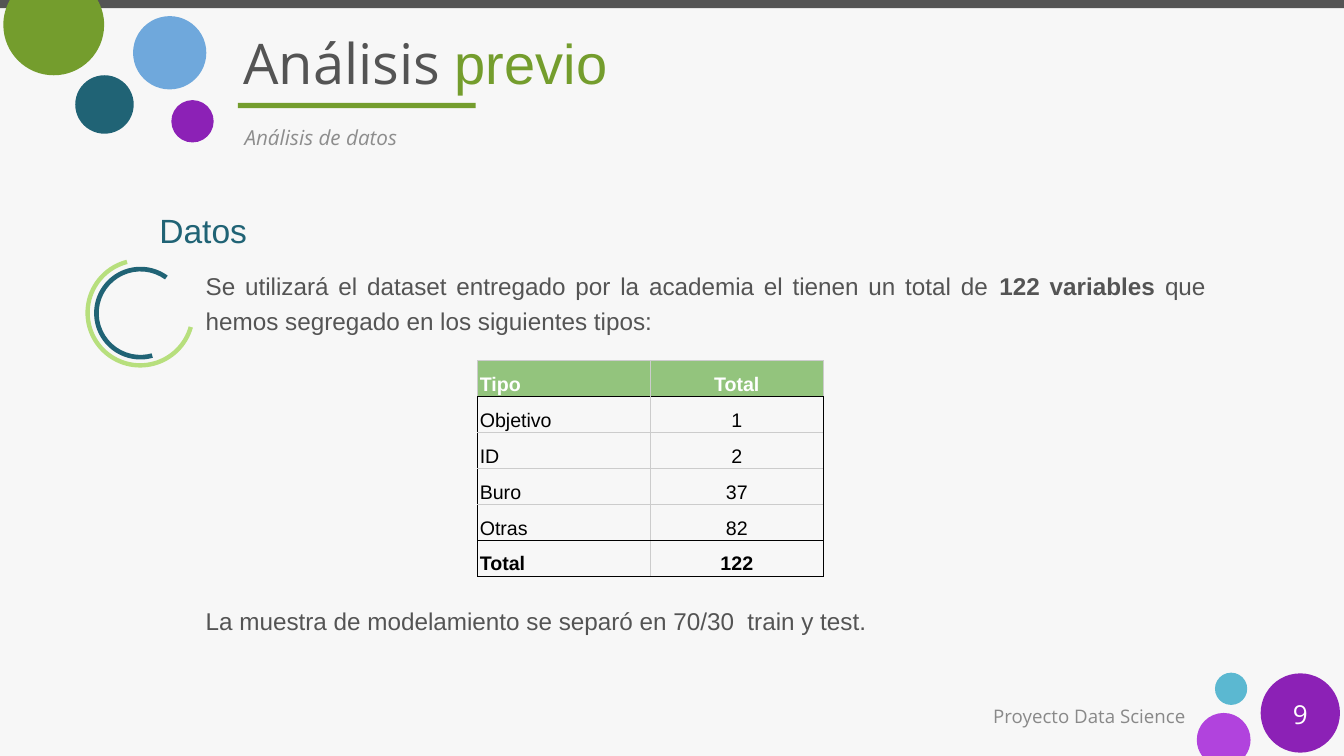
from math import asin, cos, sin, sqrt, tan

from lxml.etree import SubElement
from pptx import Presentation
from pptx.dml.color import RGBColor
from pptx.enum.shapes import MSO_SHAPE as Shape
from pptx.enum.text import MSO_ANCHOR as Anchor, MSO_AUTO_SIZE as AutoSize, PP_ALIGN as Align
from pptx.oxml.ns import qn
from pptx.util import Inches, Pt

WIDTH, HEIGHT = 20, 11.25
COLORS = {
    "paper": "F7F7F7", "ink": "545454", "muted": "8D8D8D", "footer": "898989",
    "white": "FFFFFF", "black": "000000", "rule": "CCCCCC", "header": "93C47D",
    "green": "749D2D", "lime": "B7DF7D", "teal": "206375", "blue": "6FA8DC",
    "cyan": "5BB8D1", "purple": "8C21B6", "violet": "B143DD",
}
DISPLAY, BODY = "Open Sans", "Arial"
ROWS = [("Tipo", "Total"), ("Objetivo", "1"), ("ID", "2"), ("Buro", "37"),
        ("Otras", "82"), ("Total", "122")]


def color(name):
    return RGBColor.from_string(COLORS[name])


def set_font(font, face, size, name, bold=False, italic=False):
    font.name, font.size, font.bold, font.italic = face, Pt(size), bold, italic
    font.color.rgb = color(name)


def cut_circle_points(x, y, radius, edge):
    """Chord ends, then Bezier points of the arc between them, for a circle cut at y = edge."""
    depth = abs(edge - y)
    side = 1 if edge > y else -1
    angle = asin(depth / radius)
    chord = sqrt(radius ** 2 - depth ** 2)
    short = 4 / 3 * tan(angle / 4) * radius
    quarter = 0.5523 * radius
    half = [(chord, depth),
            (chord + short * sin(angle), depth - short * cos(angle)),
            (radius, short), (radius, 0),
            (radius, -quarter), (quarter, -radius), (0, -radius)]
    mirrored = [(-dx, dy) for dx, dy in reversed(half[:-1])]
    loop = [mirrored[-1]] + half + mirrored
    return [(x + dx, y + side * dy) for dx, dy in loop]


class SlideBuilder:
    def __init__(self, page):
        self.page = page
        page.background.fill.solid()
        page.background.fill.fore_color.rgb = color("paper")

    def paint(self, shape, fill):
        shape.shadow.inherit = False
        shape.fill.solid()
        shape.fill.fore_color.rgb = color(fill)
        shape.line.fill.background()

    def shape(self, kind, left, top, width, height, fill):
        shape = self.page.shapes.add_shape(kind, *map(Inches, (left, top, width, height)))
        self.paint(shape, fill)
        return shape

    def circle(self, left, top, size, fill):
        return self.shape(Shape.OVAL, left, top, size, size, fill)

    def cut_circle(self, x, y, radius, edge, fill):
        points = [(Inches(px), Inches(py)) for px, py in cut_circle_points(x, y, radius, edge)]
        outline = self.page.shapes.build_freeform(*points[0])
        outline.add_line_segments(points[1:])
        shape = outline.convert_to_shape()
        # All lines after the chord are joined three by three into curves.
        lines = list(shape._element.iter(qn("a:lnTo")))[1:13]
        for start in range(0, len(lines), 3):
            curve = lines[start]
            curve.tag = qn("a:cubicBezTo")
            for line in lines[start + 1:start + 3]:
                curve.append(line[0])
                line.getparent().remove(line)
        self.paint(shape, fill)

    def arc(self, left, top, size, rotation, adjustments, fill):
        arc = self.shape(Shape.BLOCK_ARC, left, top, size, size, fill)
        arc.rotation = rotation
        for index, value in enumerate(adjustments):
            arc.adjustments[index] = value

    def frame(self, box, anchor):
        frame = box.text_frame
        frame.word_wrap = True
        frame.auto_size = AutoSize.NONE
        frame.vertical_anchor = anchor
        frame.margin_left = frame.margin_right = Inches(0.18)
        frame.margin_top = frame.margin_bottom = Inches(0.09)
        return frame

    def title(self, left, top, width, height, spans):
        box = self.page.shapes.title
        box.left, box.top, box.width, box.height = map(Inches, (left, top, width, height))
        para = self.frame(box, Anchor.MIDDLE).paragraphs[0]
        para.alignment = Align.LEFT
        for text, face, name in spans:
            span = para.add_run()
            span.text = text
            set_font(span.font, face, 60, name)

    def text(self, left, top, width, height, paras, face, size, name, anchor=Anchor.TOP,
             align=Align.LEFT, spacing=1.2, gap=0, italic=False):
        """Each paragraph is a list of (text, bold) spans; gap parts the paragraphs."""
        box = self.page.shapes.add_textbox(*map(Inches, (left, top, width, height)))
        frame = self.frame(box, anchor)
        for index, spans in enumerate(paras):
            para = frame.add_paragraph() if index else frame.paragraphs[0]
            para.alignment, para.line_spacing = align, spacing
            if index:
                para.space_before = Pt(gap)
            set_font(para.font, face, size, name, italic=italic)
            for text, bold in spans:
                span = para.add_run()
                span.text = text
                if bold:
                    span.font.bold = True

    def border(self, cell, **sides):
        for side in "LRTB":
            name, width = sides[side]
            line = SubElement(cell._tc.get_or_add_tcPr(), qn("a:ln" + side), w=str(Pt(width)))
            fill = SubElement(line, qn("a:solidFill"))
            SubElement(fill, qn("a:srgbClr"), val=COLORS[name])

    def table(self, left, top, width, height, rows):
        last = len(rows) - 1
        grid = self.page.shapes.add_table(
            len(rows), 2, *map(Inches, (left, top, width, height))).table
        grid.horz_banding = False
        for r, values in enumerate(rows):
            for c, value in enumerate(values):
                self.cell(grid.cell(r, c), value, r, c, last)

    def cell(self, cell, value, r, c, last):
        inner, outer = ("rule", 0.75), ("black", 0.75)
        header = r == 0
        if header:
            light = ("rule", 1.5)
            self.border(cell, L=light, R=light, T=light, B=("black", 1.5))
            cell.fill.solid()
            cell.fill.fore_color.rgb = color("header")
        else:
            self.border(cell, L=inner if c else outer, R=outer if c else inner,
                        T=("black", 1.5) if r == 1 else outer if r == last else inner,
                        B=outer if r >= last - 1 else inner)
            cell.fill.background()
        cell.margin_left = cell.margin_right = Inches(0.03)
        cell.margin_top = cell.margin_bottom = Inches(0.02)
        cell.vertical_anchor = Anchor.BOTTOM
        para = cell.text_frame.paragraphs[0]
        para.text = value
        para.alignment = Align.CENTER if c else Align.LEFT
        para.line_spacing = 1.15
        set_font(para.font, BODY, 21, "white" if header else "black", bold=r in (0, last))


def main():
    deck = Presentation()
    deck.slide_width, deck.slide_height = Inches(WIDTH), Inches(HEIGHT)
    slide = SlideBuilder(deck.slides.add_slide(deck.slide_layouts[5]))

    slide.shape(Shape.RECTANGLE, 0, 0, WIDTH, 0.12, "ink")
    slide.cut_circle(0.8, 0.37, 0.75, 0, "green")
    slide.cut_circle(18.21, 11.01, 0.4, HEIGHT, "violet")
    for circle in [(2.55, 1.49, 0.63, "purple"), (1.12, 1.12, 0.87, "teal"),
                   (1.98, 0.24, 1.09, "blue"), (18.08, 10.01, 0.48, "cyan"),
                   (18.76, 10.02, 1.18, "purple")]:
        slide.circle(*circle)
    slide.shape(Shape.RECTANGLE, 3.54, 1.53, 3.54, 0.08, "green")
    slide.arc(1.27, 3.84, 1.63, 60, (189.41, 117.33, 0.04), "lime")
    slide.arc(1.4, 3.97, 1.38, 110.3, (194.52, 117.42, 0.05), "teal")

    slide.title(3.44, 0.27, 15.69, 1.32,
                [("Análisis ", DISPLAY, "ink"), ("previo", BODY, "green")])
    slide.text(3.46, 1.69, 15.67, 0.55, [[("Análisis de datos", False)]],
               DISPLAY, 22.2, "muted", italic=True)
    slide.text(2.19, 2.96, 8.12, 0.86, [[("Datos", False)]],
               BODY, 36, "teal", anchor=Anchor.BOTTOM)
    slide.text(2.88, 3.86, 15.24, 6.52, [
        [("Se utilizará el dataset entregado por la academia el tienen un total de ", False),
         ("122 variables", True),
         (" que hemos segregado en los siguientes tipos:", False)],
        [("La muestra de modelamiento se separó en 70/30  train y test.", False)],
    ], BODY, 26, "ink", align=Align.JUSTIFY, gap=284)
    slide.table(7.11, 5.37, 5.14, 3.21, ROWS)

    slide.text(11.49, 10.35, 6.33, 0.6, [[("Proyecto Data Science", False)]], DISPLAY, 20,
               "footer", anchor=Anchor.MIDDLE, align=Align.RIGHT, spacing=1.0)
    slide.text(18.76, 10.32, 1.18, 0.6, [[("9", False)]], DISPLAY, 28,
               "white", anchor=Anchor.MIDDLE, align=Align.CENTER, spacing=1.0)
    deck.save("out.pptx")


if __name__ == "__main__":
    main()
